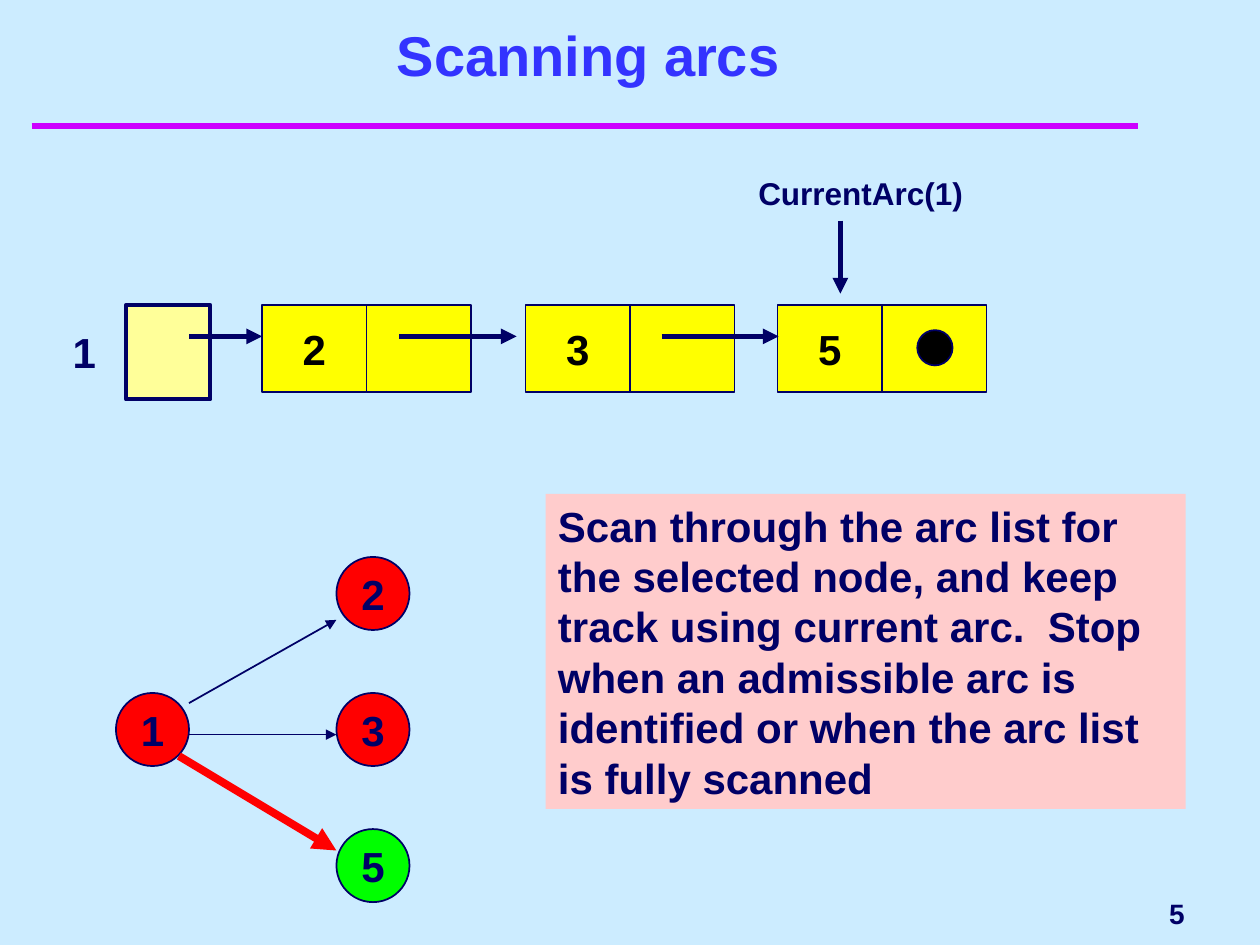
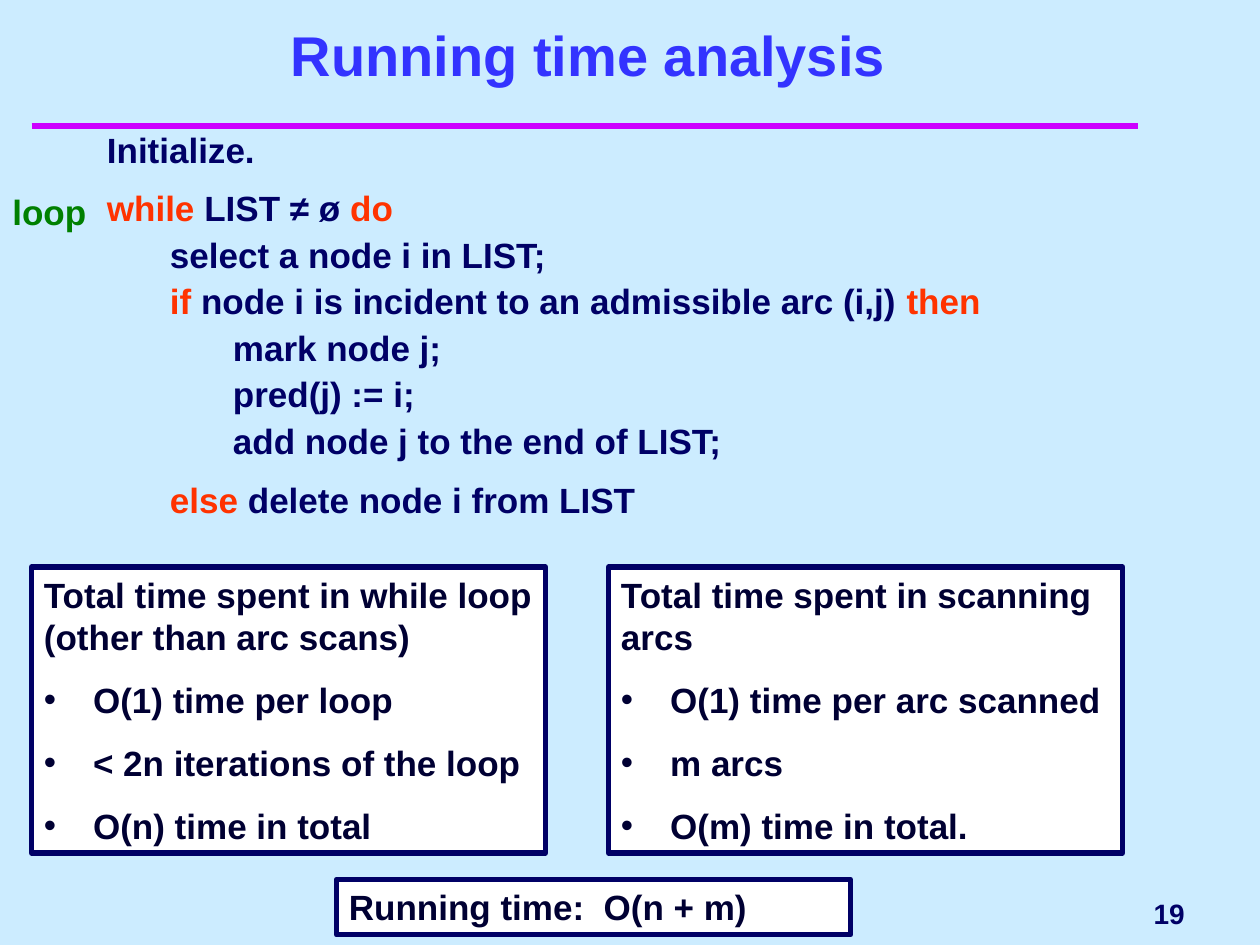
"""Build two slides on scanning arcs and the running time of graph search."""
import pptx
import pptx.util
import pptx.dml.color
import pptx.enum.shapes
import pptx.enum.text
import pptx.oxml.ns
import lxml.etree

Inches, Pt = pptx.util.Inches, pptx.util.Pt
SHAPES = pptx.enum.shapes.MSO_SHAPE
ALIGN = pptx.enum.text.PP_ALIGN
ANCHOR = pptx.enum.text.MSO_ANCHOR

COLOURS = {
    "sky": "CCECFF", "rule": "CC00FF", "title": "3333FF", "navy": "000066",
    "ink": "000033", "keyword": "FF3300", "loop": "008000", "head": "FFFF99",
    "cell": "FFFF00", "visited": "FF0000", "admissible": "00FF00",
    "note": "FFCCCC", "white": "FFFFFF", "black": "000000",
}


def colour(name):
    return pptx.dml.color.RGBColor.from_string(COLOURS[name])


def apply(target, values):
    for attribute, value in values.items():
        setattr(target, attribute, value)


def add_xml(parent, tag, **attributes):
    return lxml.etree.SubElement(parent, pptx.oxml.ns.qn(tag), attributes)


class Deck:
    """Holds the shared style and the slide being filled."""

    def __init__(self):
        self.presentation = pptx.Presentation()
        apply(self.presentation, {"slide_width": Inches(10), "slide_height": Inches(7.5)})
        background = self.presentation.slide_master.background.fill
        background.solid()
        background.fore_color.rgb = colour("sky")
        self.slide = None

    def new_slide(self, title, number):
        self.slide = self.presentation.slides.add_slide(self.presentation.slide_layouts[5])
        heading = self.slide.shapes.title
        self.place(heading, 0.42, 0.17, 8.5, 0.58)
        self.fill_text(heading, [title], size=32, ink="title", align=ALIGN.CENTER,
                       anchor=ANCHOR.BOTTOM)
        self.line((0.25, 1), (9.03, 1), "rule", 4, arrow=False)
        self.text(7.58, 7, 1.92, 0.5, [number], size=16, align=ALIGN.RIGHT, anchor=ANCHOR.MIDDLE)

    def place(self, shape, left, top, width, height):
        apply(shape, {"left": Inches(left), "top": Inches(top),
                      "width": Inches(width), "height": Inches(height)})

    def fill_text(self, shape, lines, size=24, ink="navy", align=ALIGN.LEFT,
                  anchor=ANCHOR.TOP, wrap=True, formats=None):
        frame = shape.text_frame
        apply(frame, {"word_wrap": wrap, "vertical_anchor": anchor,
                      "auto_size": pptx.enum.text.MSO_AUTO_SIZE.NONE})
        for index, line in enumerate(lines):
            paragraph = frame.paragraphs[0] if index == 0 else frame.add_paragraph()
            apply(paragraph, {"alignment": align, **(formats[index] if formats else {})})
            for part in [line] if isinstance(line, str) else line:
                words, run_ink = (part, ink) if isinstance(part, str) else part
                run = paragraph.add_run()
                run.text = words
                apply(run.font, {"name": "Arial", "size": Pt(size), "bold": True})
                run.font.color.rgb = colour(run_ink)
        return frame

    def text(self, left, top, width, height, lines, **style):
        box = self.slide.shapes.add_textbox(*map(Inches, (left, top, width, height)))
        return self.fill_text(box, lines, **style)

    def shape(self, kind, left, top, width, height, fill, edge=1, lines=(), **style):
        shape = self.slide.shapes.add_shape(kind, *map(Inches, (left, top, width, height)))
        shape.shadow.inherit = False
        shape.fill.solid()
        shape.fill.fore_color.rgb = colour(fill)
        if edge:
            shape.line.color.rgb = colour("navy")
            shape.line.width = Pt(edge)
        else:
            shape.line.fill.background()
        return self.fill_text(shape, lines, **style)

    def label(self, kind, left, top, width, height, fill, name, ink):
        self.shape(kind, left, top, width, height, fill, lines=[name], ink=ink,
                   align=ALIGN.CENTER, anchor=ANCHOR.MIDDLE, wrap=False)

    def line(self, start, end, ink="navy", width=3, arrow=True):
        connector = self.slide.shapes.add_connector(
            pptx.enum.shapes.MSO_CONNECTOR.STRAIGHT, *map(Inches, (*start, *end)))
        connector.line.color.rgb = colour(ink)
        connector.line.width = Pt(width)
        properties = connector._element.spPr
        if arrow:
            add_xml(properties.find(pptx.oxml.ns.qn("a:ln")), "a:tailEnd", type="triangle")
        add_xml(properties, "a:effectLst")

    def summary(self, left, top, height, heading, bullets=()):
        spacing = {"line_spacing": Pt(24), "space_after": Pt(12)}
        frame = self.shape(SHAPES.RECTANGLE, left, top, 4.08, height, "white", 3,
                           [heading, *bullets], size=20, ink="ink",
                           formats=[spacing] * (len(bullets) + 1))
        for paragraph in frame.paragraphs[1:]:
            properties = paragraph._p.get_or_add_pPr()
            hang = Inches(0.39)
            properties.set("marL", str(hang))
            properties.set("indent", str(-hang))
            add_xml(properties, "a:buFont", typeface="Arial")
            add_xml(properties, "a:buChar", char="•")


def scanning_arcs(deck):
    deck.new_slide("Scanning arcs", "5")

    list_top, cell_width, cell_height = 2.42, 0.83, 0.69
    deck.shape(SHAPES.RECTANGLE, 1, list_top, 0.67, 0.75, "head", 2.25)
    deck.text(0.42, 2.5, 0.5, 0.58, ["1"], align=ALIGN.CENTER, anchor=ANCHOR.MIDDLE)
    for left, node in ((2.08, "2"), (4.17, "3"), (6.17, "5")):
        deck.label(SHAPES.RECTANGLE, left, list_top, cell_width, cell_height, "cell", node, "black")
        deck.shape(SHAPES.RECTANGLE, left + cell_width, list_top, cell_width, cell_height, "cell")
    deck.shape(SHAPES.OVAL, 7.28, 2.62, 0.28, 0.28, "black")
    for start, end in ((1.5, 2.08), (3.17, 4.1), (5.25, 6.18)):
        deck.line((start, 2.67), (end, 2.67))

    deck.text(5.92, 1.33, 2, 0.4, ["CurrentArc(1)"], size=18)
    deck.line((6.67, 1.75), (6.67, 2.33))

    nodes = (("1", 0.92, 5.5, "visited"), ("2", 2.67, 4.42, "visited"),
             ("3", 2.67, 5.5, "visited"), ("5", 2.67, 6.58, "admissible"))
    for node, left, top, fill in nodes:
        deck.label(SHAPES.OVAL, left, top, 0.58, 0.58, fill, node, "navy")
    deck.line((1.5, 5.58), (2.67, 4.92), width=1)
    deck.line((1.5, 5.83), (2.67, 5.83), width=1)
    deck.line((1.42, 6), (2.67, 6.75), "visited", 4.5)

    deck.shape(SHAPES.RECTANGLE, 4.33, 3.92, 5.08, 2.5, "note", 0, [
        "Scan through the arc list for the selected node, and keep track using current arc.  "
        "Stop when an admissible arc is identified or when the arc list is fully scanned",
    ], formats=[{"line_spacing": Pt(28.8)}])


def running_time(deck):
    deck.new_slide("Running time analysis", "19")

    steps = (
        (0, 0, ["Initialize."]),
        (0, 12, [("while", "keyword"), " LIST ≠ ø ", ("do", "keyword")]),
        (1, 5, ["select a node i in LIST;"]),
        (1, 5, [("if", "keyword"), " node i is incident to an admissible arc (i,j) ",
                ("then", "keyword")]),
        (2, 5, ["mark node j;"]),
        (2, 5, ["pred(j) := i;"]),
        (2, 5, ["add node j to the end of LIST;"]),
        (1, 12, [("else", "keyword"), " delete node i from LIST"]),
    )
    formats = [{"line_spacing": Pt(21.6), "space_before": Pt(gap)} for _, gap, _ in steps]
    algorithm = deck.text(0.25, 1, 7.92, 3.42, [line for _, _, line in steps],
                          size=20, formats=formats)
    for paragraph, (depth, _, _) in zip(algorithm.paragraphs, steps):
        paragraph._p.get_or_add_pPr().set("marL", str(Inches(0.5 + 0.5 * depth)))
    deck.text(0, 1.46, 1, 0.44, ["loop"], size=20, ink="loop",
              formats=[{"line_spacing": Pt(24)}])

    deck.summary(0.25, 4.5, 2.27, "Total time spent in while loop (other than arc scans)",
                 ["O(1) time per loop", "< 2n iterations of the loop", "O(n) time in total"])
    deck.summary(4.83, 4.5, 2.27, "Total time spent in scanning arcs",
                 ["O(1) time per arc scanned", "m arcs", "O(m) time in total."])
    deck.summary(2.67, 6.98, 0.44, "Running time:  O(n + m)")


def main():
    deck = Deck()
    scanning_arcs(deck)
    running_time(deck)
    deck.presentation.save("out.pptx")


if __name__ == "__main__":
    main()
